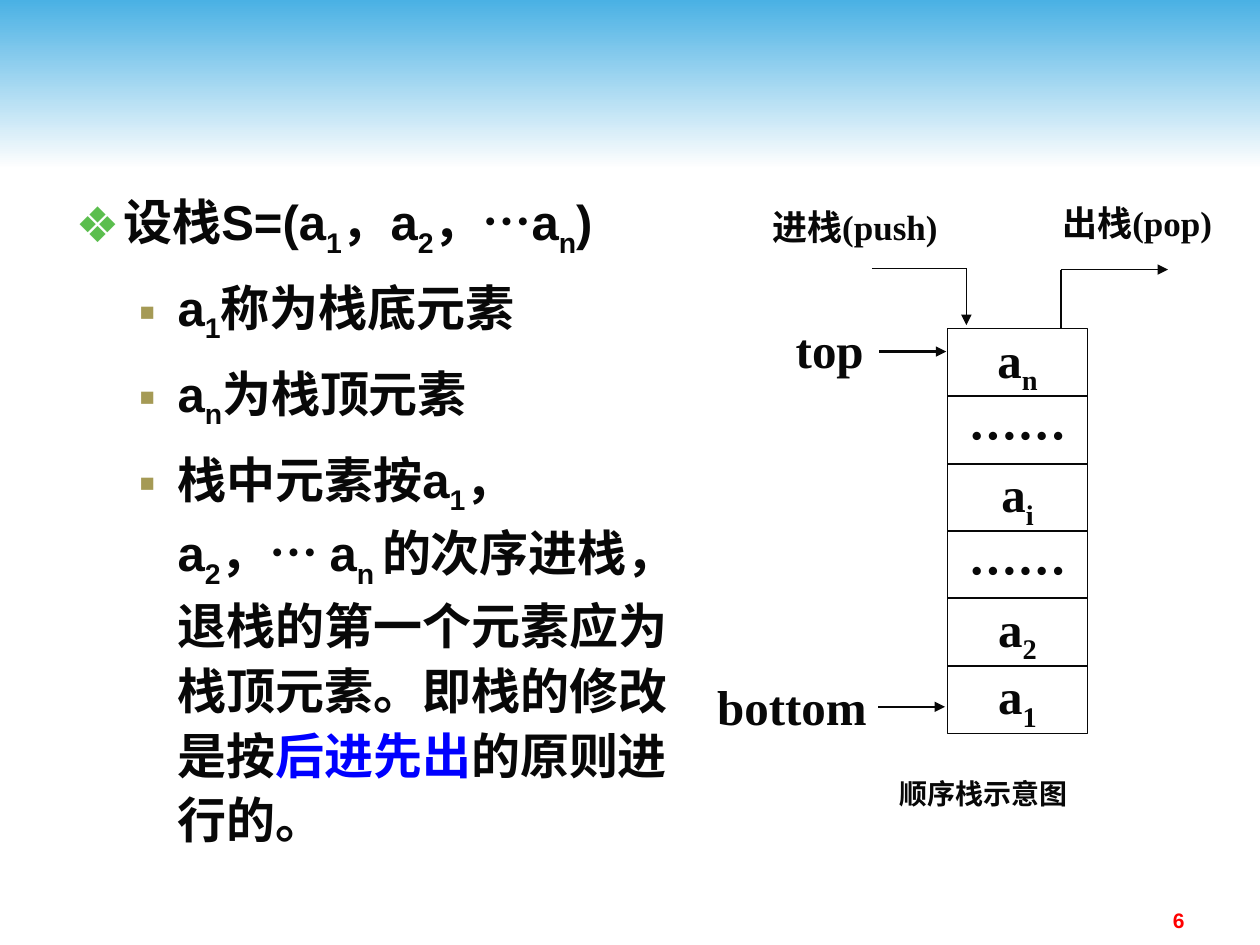
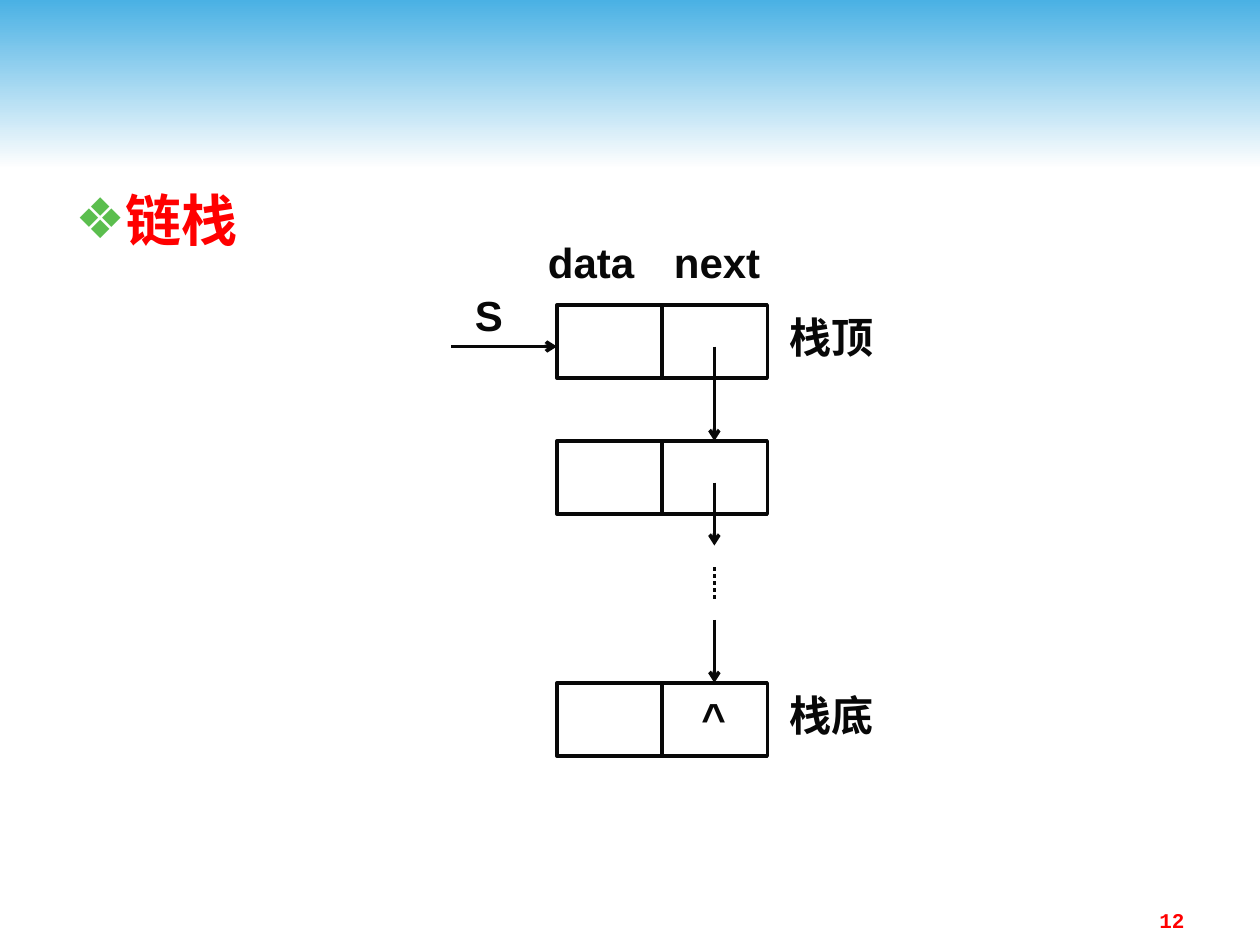
"""Build two slides on the sequential stack and the linked stack."""
from lxml.etree import SubElement
from pptx import Presentation
from pptx.dml.color import RGBColor
from pptx.enum.dml import MSO_LINE as Dash
from pptx.enum.shapes import MSO_CONNECTOR as Wire, MSO_SHAPE as Shape
from pptx.enum.text import MSO_ANCHOR as Anchor, MSO_AUTO_SIZE as Fit, PP_ALIGN as Align
from pptx.oxml.ns import qn
from pptx.util import Inches, Pt

INK = RGBColor(0x08, 0x08, 0x08)
RED = RGBColor(0xFF, 0x00, 0x00)
BLUE = RGBColor(0x00, 0x00, 0xFF)
SKY = RGBColor(0x4A, 0xB1, 0xE4)
PALE = RGBColor(0xFE, 0xFE, 0xFE)
SANS, SERIF, MONO, HAN = "Arial", "Times New Roman", "Courier New", "Noto Sans CJK SC"


def write(par, text, size, face, ink=INK):
    """Add bold runs; every second part between bars is a subscript."""
    for i, part in enumerate(text.split("|")):
        if not part:
            continue
        run = par.add_run()
        run.text = part
        for key, value in {"size": Pt(size), "bold": True, "name": face}.items():
            setattr(run.font, key, value)
        run.font.color.rgb = ink
        props = run.font._element
        props.set("lang", "zh-CN")
        SubElement(props, qn("a:ea"), typeface=HAN)
        if i % 2:
            props.set("baseline", "-25000")


def bullet(par, level, gap, space):
    """Give a list paragraph its indent, spacing and coloured bullet."""
    left, hang, char, tint = [(0.38, 0.38, "❖", "5BBE4E"), (0.81, 0.31, "▪", "A59A55")][level]
    par.level = level
    props = par._p.get_or_add_pPr()
    props.set("marL", str(Inches(left)))
    props.set("indent", str(-Inches(hang)))
    props.set("hangingPunct", "0")
    SubElement(SubElement(props, qn("a:buClr")), qn("a:srgbClr"), val=tint)
    SubElement(props, qn("a:buFont"), typeface=SANS)
    SubElement(props, qn("a:buChar"), char=char)
    par.space_before = Pt(gap)
    par.line_spacing = space


deck = Presentation()
deck.slide_width, deck.slide_height = Inches(10), Inches(7.5)
layout = deck.slide_layouts[1]
slides = [deck.slides.add_slide(layout) for _ in range(2)]
array, chain = slides

band = array.shapes.add_shape(Shape.RECTANGLE, 0, 0, Inches(10), Inches(1.33))
band.shadow.inherit = False
band.line.fill.background()
band.fill.gradient()
band.fill.gradient_angle = 270
for stop, tint in zip(band.fill.gradient_stops, (SKY, PALE)):
    stop.color.rgb = tint
layout.shapes.element.insert(2, band.element)

bodies = []
for slide, width in zip(slides, (5.08, 9)):
    title = slide.shapes.title.element
    title.getparent().remove(title)
    body = slide.placeholders[1]
    body.left, body.top = Inches(0.5), Inches(1.42)
    body.width, body.height = Inches(width), Inches(5.5)
    body.text_frame.auto_size = Fit.NONE
    bodies.append(body.text_frame)

points = [
    (0, [("设栈S=(a|1|，a|2|，…a|n|)", INK)]),
    (1, [("a|1|称为栈底元素", INK)]),
    (1, [("a|n|为栈顶元素", INK)]),
    (1, [("栈中元素按a|1|，", INK), ("", INK),
         ("a|2|，… a|n |的次序进栈，退栈的第一个元素应为栈顶元素。即栈的修改是按", INK),
         ("后进先出", BLUE), ("的原则进行的。", INK)]),
]
for i, (level, parts) in enumerate(points):
    par = bodies[0].add_paragraph() if i else bodies[0].paragraphs[0]
    bullet(par, level, 7 if i else 0, 1.1)
    for text, ink in parts:
        if text:
            write(par, text, 28, SANS, ink)
        else:
            par.add_line_break()
head = bodies[1].paragraphs[0]
bullet(head, 0, 0, 1.0)
write(head, "链栈", 32, SANS, RED)

step = (5.28 - 2.61) / 5
cells = [(array, 7.52, 2.61 + i * step, 1.11, 0.54, 0.75, text)
         for i, text in enumerate(["a|n|", "⋯⋯", "a|i|", "⋯⋯", "a|2|", "a|1|"])]
nodes = [(chain, 4.42, top, 1.67, 0.58, 2, "") for top in (2.42, 3.5, 5.42)]
wires = []
for slide, x, y, w, h, weight, text in cells + nodes:
    box = slide.shapes.add_shape(Shape.RECTANGLE, Inches(x), Inches(y), Inches(w), Inches(h))
    box.shadow.inherit = False
    box.fill.background()
    box.line.color.rgb = INK
    box.line.width = Pt(weight)
    if text:
        frame = box.text_frame
        frame.word_wrap = False
        frame.vertical_anchor = Anchor.MIDDLE
        frame.paragraphs[0].alignment = Align.CENTER
        write(frame.paragraphs[0], text, 28, SERIF)
    else:
        split = slide.shapes.add_connector(Wire.STRAIGHT, 0, 0, 0, 0)
        split.begin_connect(box, 0)
        split.end_connect(box, 2)
        wires.append((split, weight, None))

lines = [
    (array, 6.97, 5.61, 7.5, 5.61, 1.5, "triangle"),
    (array, 6.98, 2.79, 7.51, 2.79, 1.5, "triangle"),
    (array, 6.92, 2.13, 7.67, 2.13, 0.75, None),
    (array, 7.67, 2.13, 7.67, 2.58, 0.75, "triangle"),
    (array, 8.42, 2.6, 8.42, 2.14, 0.75, None),
    (array, 8.42, 2.14, 9.27, 2.14, 0.75, "triangle"),
    (chain, 3.58, 2.75, 4.42, 2.75, 2, "arrow"),
    (chain, 5.67, 2.75, 5.67, 3.5, 2, "arrow"),
    (chain, 5.67, 3.83, 5.67, 4.33, 2, "arrow"),
    (chain, 5.67, 4.5, 5.67, 4.75, 2, "dots"),
    (chain, 5.67, 4.92, 5.67, 5.42, 2, "arrow"),
]
for slide, *ends, weight, tip in lines:
    wire = slide.shapes.add_connector(Wire.STRAIGHT, *[Inches(v) for v in ends])
    wires.append((wire, weight, tip))
for wire, weight, tip in wires:
    wire.line.color.rgb = INK
    wire.line.width = Pt(weight)
    props = wire.element.spPr
    if tip == "dots":
        wire.line.dash_style = Dash.ROUND_DOT
    elif tip:
        SubElement(props.find(qn("a:ln")), qn("a:tailEnd"), type=tip)
    SubElement(props, qn("a:effectLst"))

mid = (SERIF, INK, Align.CENTER, Anchor.MIDDLE)
top = (SANS, INK, Align.LEFT, Anchor.TOP)
labels = [
    (array, 5.99, 6.02, 3.63, 0.56, "顺序栈示意图", 16, mid),
    (array, 5.58, 5.28, 1.41, 0.64, "bottom", 28, mid),
    (array, 6.08, 2.45, 1.01, 0.64, "top", 28, mid),
    (array, 5.78, 1.53, 2.01, 0.53, "进栈(push)", 20, mid),
    (array, 8.22, 1.5, 1.61, 0.53, "出栈(pop)", 20, mid),
    (chain, 5.33, 5.44, 0.67, 0.5, "^", 24, (SANS, INK, Align.CENTER, Anchor.TOP)),
    (chain, 6.17, 5.42, 0.92, 0.5, "栈底", 24, top),
    (chain, 6.17, 2.42, 0.92, 0.5, "栈顶", 24, top),
    (chain, 3.67, 2.25, 0.5, 0.5, "S", 24, top),
    (chain, 4.25, 1.83, 0.92, 0.5, "data", 24, top),
    (chain, 5.25, 1.83, 0.92, 0.5, "next", 24, top),
]
for slide, text, face in zip(slides, ("6", "12"), (SANS, MONO)):
    labels.append((slide, 7.17, 7.15, 2.33, 0.27, text, 12, (face, RED, Align.RIGHT, Anchor.TOP)))
for slide, x, y, w, h, text, size, (face, ink, align, anchor) in labels:
    frame = slide.shapes.add_textbox(Inches(x), Inches(y), Inches(w), Inches(h)).text_frame
    frame.word_wrap = anchor == Anchor.TOP
    frame.vertical_anchor = anchor
    frame.paragraphs[0].alignment = align
    write(frame.paragraphs[0], text, size, face, ink)

deck.save("out.pptx")
